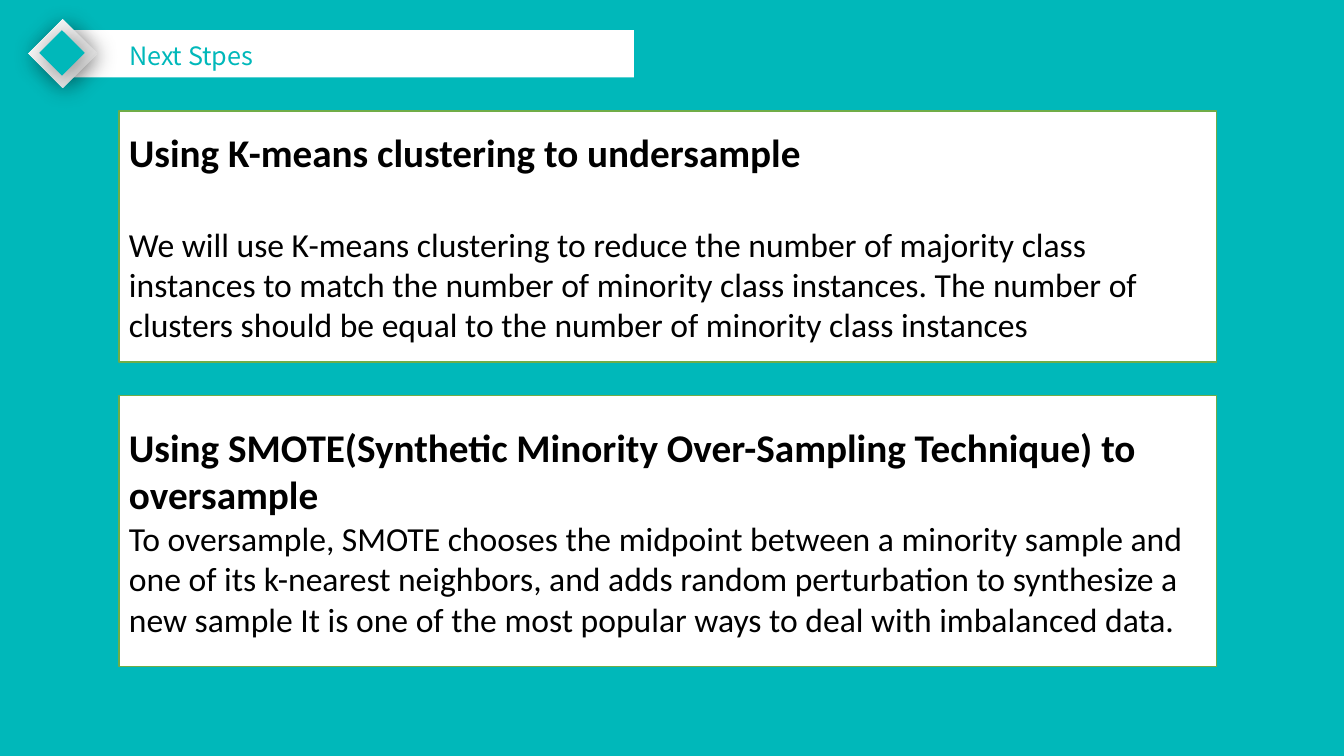
"""Build the next-steps slide on two ways of balancing the classes."""
import pptx
import pptx.util
import pptx.dml.color
import pptx.enum.shapes
import pptx.enum.text
import pptx.oxml
import pptx.oxml.ns

Pt = pptx.util.Pt
SHAPE = pptx.enum.shapes.MSO_SHAPE
TEAL, WHITE, GREEN, BLACK = "00B8BA", "FFFFFF", "70AD47", "000000"


def paint(fill, colour):
    fill.solid()
    fill.fore_color.rgb = pptx.dml.color.RGBColor.from_string(colour)


def write(paragraph, text, size, font="Calibri", colour=BLACK, bold=False, after=0):
    paragraph.alignment = pptx.enum.text.PP_ALIGN.LEFT
    paragraph.line_spacing = 1.0
    paragraph.space_before = Pt(0)
    paragraph.space_after = Pt(after)
    run = paragraph.add_run()
    run.text = text
    run.font.size = Pt(size)
    run.font.name = font
    run.font.bold = bold
    paint(run.font.fill, colour)


deck = pptx.Presentation()
deck.slide_width, deck.slide_height = Pt(960), Pt(540)
slide = deck.slides.add_slide(deck.slide_layouts[5])
paint(slide.background.fill, TEAL)

banner = slide.shapes.add_shape(SHAPE.RECTANGLE, Pt(44.6), Pt(21.6), Pt(408.2), Pt(33.8))
banner.shadow.inherit = False
paint(banner.fill, WHITE)
banner.line.fill.background()

SHADOW = (
    f'<a:effectLst {pptx.oxml.ns.nsdecls("a")}>'
    '<a:outerShdw blurRad="215900" dist="38100" dir="2700000" algn="tl" rotWithShape="0">'
    '<a:srgbClr val="000000"><a:alpha val="40000"/></a:srgbClr>'
    '</a:outerShdw></a:effectLst>'
)
for left, top, side, colour in ((20.2, 13.7, 49, WHITE), (28.1, 21.6, 32.4, TEAL)):
    diamond = slide.shapes.add_shape(SHAPE.DIAMOND, Pt(left), Pt(top), Pt(side), Pt(side))
    paint(diamond.fill, colour)
    if colour == WHITE:
        diamond.fill.gradient()
        diamond.fill.gradient_angle = 315
        for stop, shade in zip(diamond.fill.gradient_stops, (WHITE, "D9D9D9")):
            stop.color.rgb = pptx.dml.color.RGBColor.from_string(shade)
    diamond.line.fill.background()
    diamond.element.spPr.append(pptx.oxml.parse_xml(SHADOW))

title = slide.shapes.title
title.left, title.top, title.width, title.height = Pt(85), Pt(25.2), Pt(106.6), Pt(28.8)
title.text_frame.word_wrap = False
title.text_frame.auto_size = pptx.enum.text.MSO_AUTO_SIZE.SHAPE_TO_FIT_TEXT
title.text_frame.vertical_anchor = pptx.enum.text.MSO_ANCHOR.TOP
write(title.text_frame.paragraphs[0], "Next Stpes", 18, font="Noto Sans CJK SC", colour=TEAL)
diamond.element.addnext(title.element)

METHODS = (
    (79.2, 179.3, 34.2, "Using K-means clustering to undersample",
     "We will use K-means clustering to reduce the number of majority class instances "
     "to match the number of minority class instances. The number of clusters should "
     "be equal to the number of minority class instances"),
    (282.6, 193.7, 0, "Using SMOTE(Synthetic Minority Over-Sampling Technique) to oversample",
     "To oversample, SMOTE chooses the midpoint between a minority sample and one of its "
     "k-nearest neighbors, and adds random perturbation to synthesize a new sample It is "
     "one of the most popular ways to deal with imbalanced data."),
)
for top, height, gap, heading, explanation in METHODS:
    panel = slide.shapes.add_shape(SHAPE.RECTANGLE, Pt(85), Pt(top), Pt(784.1), Pt(height))
    panel.shadow.inherit = False
    paint(panel.fill, WHITE)
    paint(panel.line.fill, GREEN)
    panel.line.width = Pt(1)
    panel.text_frame.word_wrap = True
    panel.text_frame.vertical_anchor = pptx.enum.text.MSO_ANCHOR.MIDDLE
    write(panel.text_frame.paragraphs[0], heading, 28, bold=True, after=gap)
    write(panel.text_frame.add_paragraph(), explanation, 24)

deck.save("out.pptx")
